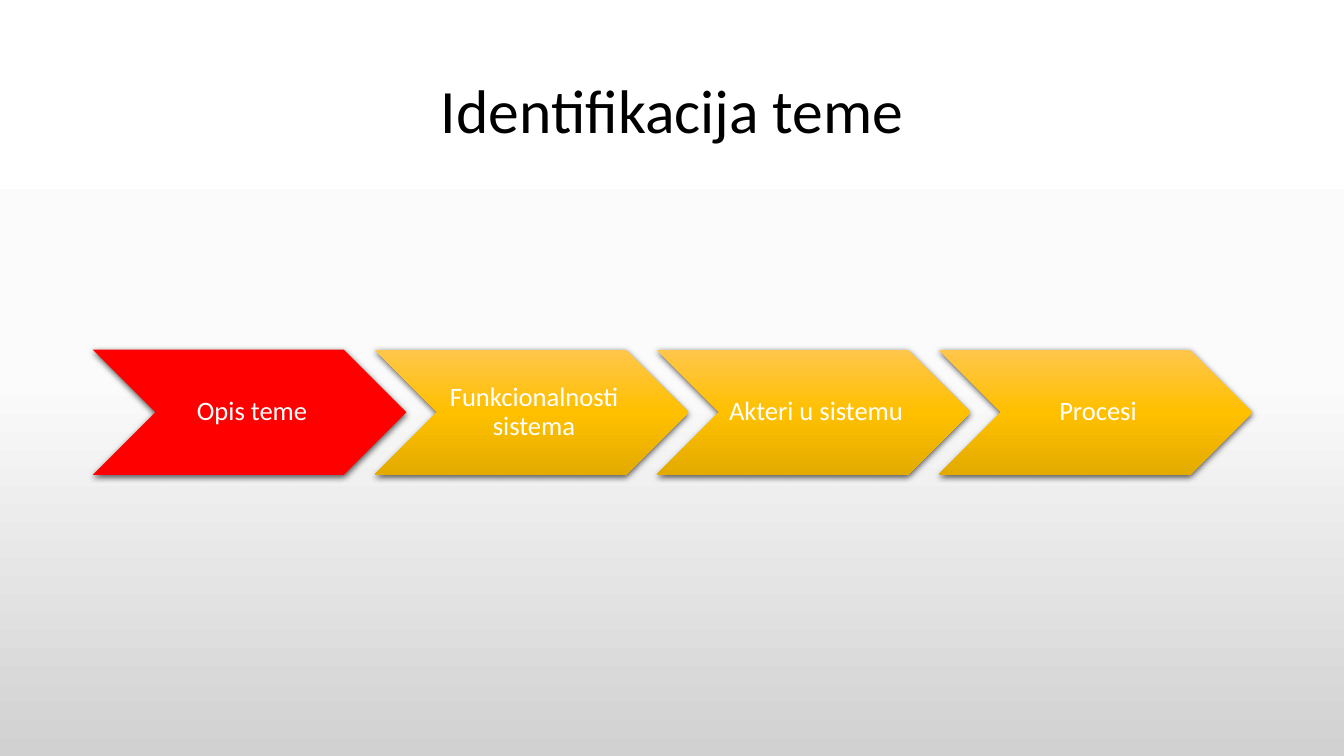
"""Build the topic identification slide with its row of process chevrons."""
from lxml import etree
from pptx import Presentation, util as u
from pptx.dml import color
from pptx.enum import shapes, text
from pptx.oxml import ns

FONT = "Calibri"
STEPS = ["Opis teme", "Funkcionalnosti sistema", "Akteri u sistemu", "Procesi"]
GREY_FADE = [(0, "FFFFFF"), (50, "FBFBFB"), (100, "D1D1D1")]
GOLD_FADE = [(0, "FFC64B"), (50, "FFC000"), (100, "E3AB00")]
LEFT, TOP, ROW_WIDTH = 0.92, 3.47, 11.5
CHEVRON_WIDTH, CHEVRON_HEIGHT = 3.11, 1.24


def rgb(value):
    return color.RGBColor.from_string(value)


def add_xml(parent, tag, **attributes):
    return etree.SubElement(parent, ns.qn(tag), attributes)


def fade_down(fill, owner, stops):
    fill.gradient()
    fill.gradient_angle = 270
    stop_list = owner.xpath(".//a:gsLst")[0]
    for stop in list(stop_list):
        stop_list.remove(stop)
    for percent, value in stops:
        stop = add_xml(stop_list, "a:gs", pos=str(percent * 1000))
        add_xml(stop, "a:srgbClr", val=value)


def add_shadow(shape):
    shape.shadow.inherit = False
    effects = shape._element.spPr.find(ns.qn("a:effectLst"))
    shadow = add_xml(effects, "a:outerShdw", blurRad=str(u.Pt(4.5)),
                     dist=str(u.Pt(1.5)), dir="5400000", algn="ctr", rotWithShape="0")
    black = add_xml(shadow, "a:srgbClr", val="000000")
    add_xml(black, "a:alpha", val="63000")


def write_centred(shape, words, size, value):
    frame = shape.text_frame
    frame.word_wrap = True
    frame.auto_size = text.MSO_AUTO_SIZE.NONE
    frame.vertical_anchor = text.MSO_ANCHOR.MIDDLE
    para = frame.paragraphs[0]
    para.alignment = text.PP_ALIGN.CENTER
    para.line_spacing = 0.9
    para.space_before = u.Pt(0)
    span = para.add_run()
    span.text = words
    span.font.name = FONT
    span.font.size = u.Pt(size)
    span.font.color.rgb = rgb(value)


def add_title(page, words):
    title = page.shapes.title
    title.left, title.top = u.Inches(LEFT), u.Inches(0.4)
    title.width, title.height = u.Inches(ROW_WIDTH), u.Inches(1.45)
    write_centred(title, words, 44, "000000")


def add_chevron(page, left, words, active):
    chevron = page.shapes.add_shape(
        shapes.MSO_SHAPE.CHEVRON, u.Inches(left), u.Inches(TOP),
        u.Inches(CHEVRON_WIDTH), u.Inches(CHEVRON_HEIGHT))
    if active:
        chevron.fill.solid()
        chevron.fill.fore_color.rgb = rgb("FF0000")
    else:
        fade_down(chevron.fill, chevron._element, GOLD_FADE)
    chevron.line.fill.background()
    add_shadow(chevron)
    frame = chevron.text_frame
    frame.margin_left = u.Inches(0.08)
    frame.margin_right = frame.margin_top = frame.margin_bottom = u.Inches(0.03)
    write_centred(chevron, words, 19, "FFFFFF")


def main():
    deck = Presentation()
    deck.slide_width, deck.slide_height = u.Inches(13.33), u.Inches(7.5)
    page = deck.slides.add_slide(deck.slide_layouts.get_by_name("Title Only"))
    fade_down(page.background.fill, page._element, GREY_FADE)
    add_title(page, "Identifikacija teme")
    pitch = (ROW_WIDTH - CHEVRON_WIDTH) / (len(STEPS) - 1)
    for index, words in enumerate(STEPS):
        add_chevron(page, LEFT + index * pitch, words, active=index == 0)
    deck.save("out.pptx")


if __name__ == "__main__":
    main()
